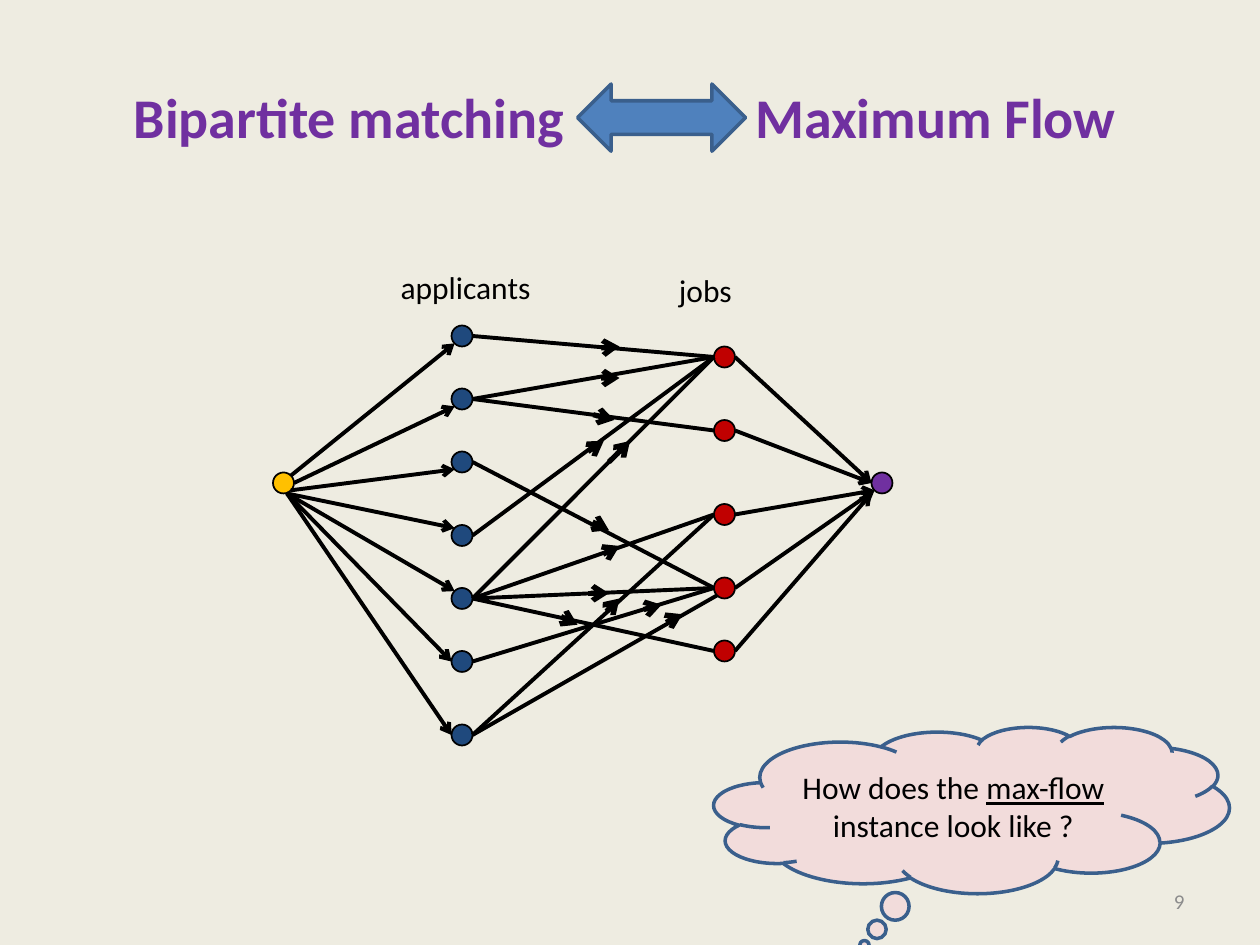
from lxml import etree
from pptx import Presentation
from pptx import util as u
from pptx.dml.color import RGBColor
from pptx.enum import shapes, text
from pptx.oxml.ns import qn

COLORS = {"bg": "EEECE1", "title": "7030A0", "number": "8C8C8C", "black": "000000",
          "applicant": "1F497D", "job": "C00000", "source": "FFC000", "sink": "7030A0",
          "arrow": "4F81BD", "cloud": "F2DCDB", "outline": "3A5F8C"}
D = 12
R = D / 2
APPLICANT_X, APPLICANT_Y = 264, [192, 228, 264, 306, 342, 378, 420]
JOB_X, JOB_Y = 414, [204, 246, 294, 336, 372]
SOURCE, SINK = (162, 276), (504, 276)

EDGES = [(1, 1), (6, 2), (4, 3), (0, 0), (3, 0), (5, 3),
         (6, 3), (1, 0), (4, 0), (4, 2), (2, 3), (4, 4)]
EDGE_END_SHIFT = {(6, 3): (1.8, 4.2)}
MARKERS = [(342, 300, 348, 303), (348, 264, 360, 252), (348, 348, 354, 342),
           (369, 348, 378, 345.6), (348, 315, 354, 312), (345, 198.7, 354, 198),
           (345, 216, 354, 216), (339, 237, 351, 240), (336, 258, 345, 252),
           (336, 339, 348, 339), (384, 354, 390, 351), (324, 354, 330, 357)]
SOURCE_SHIFT = [(4.2, -4.2), (6, 0), (4.2, 4.2)] + [(2, 6)] * 4
APPLICANT_SHIFT = [(-4.2, 4.2)] * 3 + [(-4.2, -4.2)] * 2 + [(-6, 0)] * 2
SINK_SHIFT = [(-6, 0)] * 2 + [(-4.2, 4.2)] * 2 + [(-6, 6)]

TEXTS = [
    ((36, 21.6, 648, 90), ["Bipartite matching\tMaximum Flow"],
     {"size": 32, "bold": True}, "title", "LEFT", {"margin_left": u.Pt(40.5), "word_wrap": True}),
    ((516, 500.4, 168, 28.8), ["9"], {"size": 12}, "number", "RIGHT", {"word_wrap": True}),
    ((221.8, 149.8, 89.3, 28.8), ["applicants"], {"size": 18}, "black", "LEFT", {"word_wrap": False}),
    ((380.9, 151.2, 44.6, 28.8), ["jobs"], {"size": 18}, "black", "LEFT", {"word_wrap": False}),
]
CLOUD_TEXT = [("How does the ", False), ("max-flow", True), (" instance look like ?", False)]

prs = Presentation()
prs.slide_width, prs.slide_height = u.Pt(720), u.Pt(540)
s = prs.slides.add_slide(prs.slide_layouts[6])


def rgb(name):
    return RGBColor.from_string(COLORS[name])


def pts(*values):
    return [u.Pt(v) for v in values]


def add_run(p, words, fmt, color):
    r = p.add_run()
    r.text = words
    for key, value in {"name": "Calibri", **fmt}.items():
        setattr(r.font, key, u.Pt(value) if key == "size" else value)
    r.font.color.rgb = rgb(color)


def add_shape(kind, box, fill, line, width):
    sp = s.shapes.add_shape(kind, *pts(*box))
    sp.shadow.inherit = False
    sp.fill.solid()
    sp.fill.fore_color.rgb = rgb(fill)
    sp.line.color.rgb = rgb(line)
    sp.line.width = u.Pt(width)
    return sp


def add_node(x, y, fill):
    add_shape(shapes.MSO_SHAPE.OVAL, (x - R, y - R, D, D), fill, "black", 1)


def add_line(x1, y1, x2, y2, width=2.25, arrow=False):
    c = s.shapes.add_connector(shapes.MSO_CONNECTOR.STRAIGHT, *pts(x1, y1, x2, y2))
    c.line.color.rgb = rgb("black")
    c.line.width = u.Pt(width)
    if arrow:
        etree.SubElement(c.line._get_or_add_ln(), qn("a:tailEnd"), type="arrow")
    etree.SubElement(c._element.spPr, qn("a:effectLst"))


s.background.fill.solid()
s.background.fill.fore_color.rgb = rgb("bg")

for box, runs, fmt, color, align, frame in TEXTS:
    tf = s.shapes.add_textbox(*pts(*box)).text_frame
    for key, value in {"vertical_anchor": text.MSO_ANCHOR.MIDDLE, **frame}.items():
        setattr(tf, key, value)
    p = tf.paragraphs[0]
    p.alignment = text.PP_ALIGN[align]
    for words in runs:
        if "\t" in words:
            tabs = etree.SubElement(p._p.get_or_add_pPr(), qn("a:tabLst"))
            etree.SubElement(tabs, qn("a:tab"), pos=str(u.Pt(355)), algn="l")
        add_run(p, words, fmt, color)

for y in JOB_Y:
    add_node(JOB_X, y, "job")
for y in APPLICANT_Y:
    add_node(APPLICANT_X, y, "applicant")

for a, j in EDGES:
    dx, dy = EDGE_END_SHIFT.get((a, j), (0, 0))
    add_line(APPLICANT_X + R, APPLICANT_Y[a], JOB_X - R + dx, JOB_Y[j] + dy)
for marker in MARKERS:
    add_line(*marker, width=3, arrow=True)

add_node(*SINK, "sink")
add_node(*SOURCE, "source")
for y, (sx, sy), (ax, ay) in zip(APPLICANT_Y, SOURCE_SHIFT, APPLICANT_SHIFT):
    add_line(SOURCE[0] + sx, SOURCE[1] + sy, APPLICANT_X + ax, y + ay, arrow=True)
for y, (dx, dy) in zip(JOB_Y, SINK_SHIFT):
    add_line(JOB_X + R, y, SINK[0] + dx, SINK[1] + dy, arrow=True)

add_shape(shapes.MSO_SHAPE.LEFT_RIGHT_ARROW, (330, 48, 96, 38.4), "arrow", "outline", 2)
cloud = add_shape(shapes.MSO_SHAPE.CLOUD_CALLOUT, (408, 415.4, 294.5, 95), "cloud", "outline", 2)
cloud.adjustments[0], cloud.adjustments[1] = -0.208, 0.813
tf = cloud.text_frame
tf.word_wrap = True
tf.vertical_anchor = text.MSO_ANCHOR.MIDDLE
p = tf.paragraphs[0]
p.alignment = text.PP_ALIGN.CENTER
for words, underline in CLOUD_TEXT:
    add_run(p, words, {"size": 18, "underline": underline}, "black")

prs.save("out.pptx")
